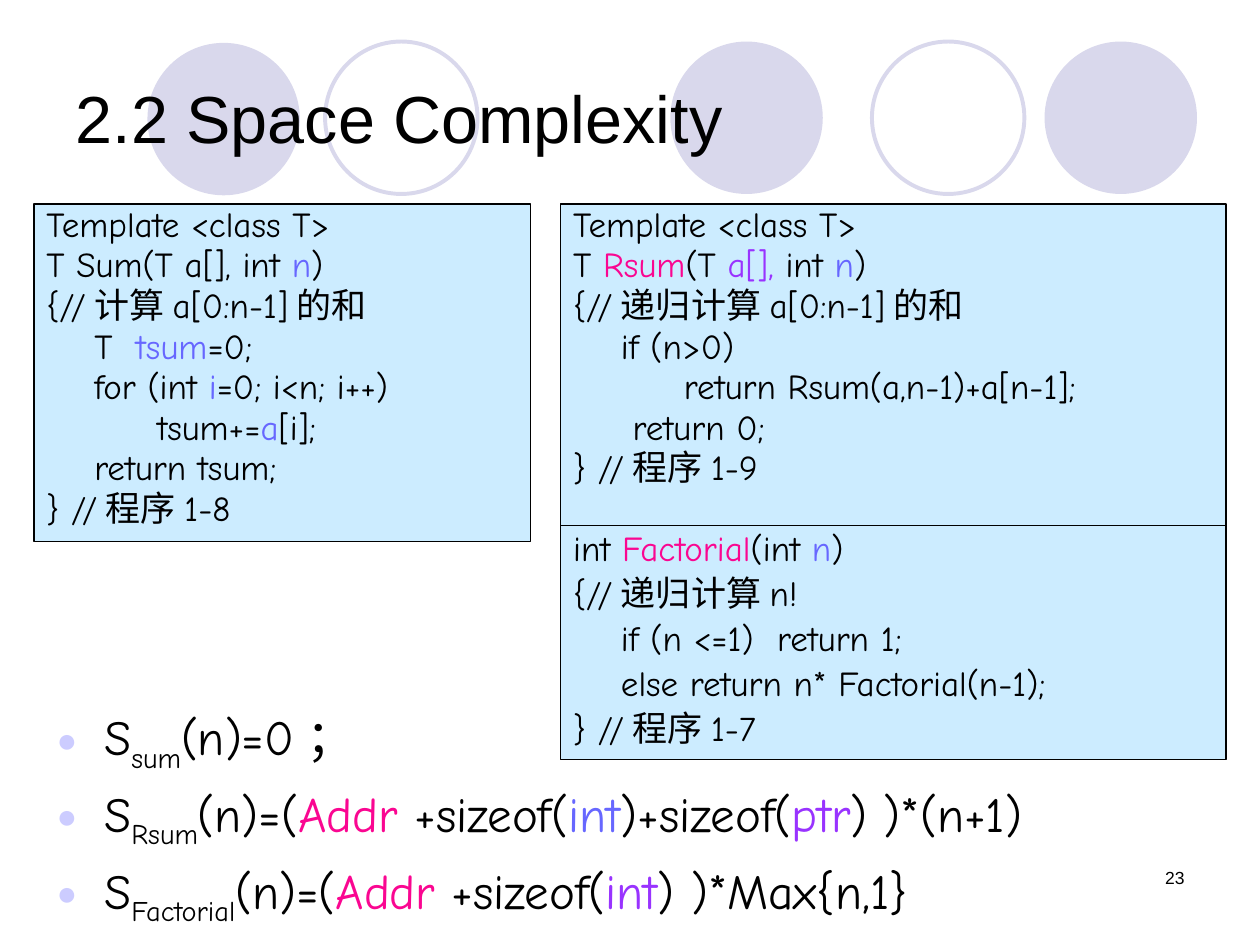
from lxml import etree
from pptx import Presentation
from pptx.dml.color import RGBColor
from pptx.enum import shapes, text
from pptx.oxml.ns import qn
from pptx.util import Inches, Pt

BLACK = RGBColor(0x00, 0x00, 0x00)
PINK = RGBColor(0xFA, 0x06, 0x91)
BLUE = RGBColor(0x67, 0x67, 0xFF)
PURPLE = RGBColor(0x99, 0x33, 0xFF)
PALE_BLUE = RGBColor(0xCC, 0xEC, 0xFF)
LILAC = RGBColor(0xD9, 0xD8, 0xEC)
BULLET = "CCCCFF"
CODE_FONT = "Comic Neue"

# Each line is a list of runs: plain text, or (text, colour)
SUM = [
    ["Template <class T>"],
    ["T Sum(T a[], int ", ("n", BLUE), ")"],
    ["{//计算a[0:n-1]的和"],
    ["\tT  ", ("tsum", BLUE), "=0;"],
    ["\tfor (int ", ("i", BLUE), "=0; i<n; i++)"],
    ["\t\ttsum+=", ("a", BLUE), "[i];"],
    ["\treturn tsum;"],
    ["} //程序1-8"],
]
RSUM = [
    ["Template <class T>"],
    ["T ", ("Rsum", PINK), "(T ", ("a[], ", PURPLE), "int ", ("n", BLUE), ")"],
    ["{//递归计算a[0:n-1]的和"],
    ["\tif (n>0)"],
    ["\t\treturn Rsum(a,n-1)+a[n-1];"],
    ["\t return 0;"],
    ["} //程序1-9"],
]
FACTORIAL = [
    ["int ", ("Factorial", PINK), "(int ", ("n", BLUE), ")"],
    ["{//递归计算n!"],
    ["\tif (n <=1)  return 1;"],
    ["\telse return n* Factorial(n-1);"],
    ["} //程序1-7"],
]
# Each formula is its subscript and the runs after it
FORMULAS = [
    ("sum", ["(n)=0；"]),
    ("Rsum", ["(n)=(", ("Addr", PINK), " +sizeof(", ("int", BLUE),
              ")+sizeof(", ("ptr", PURPLE), ") )*(n+1)"]),
    ("Factorial", ["(n)=(", ("Addr", PINK), " +sizeof(", ("int", PURPLE),
                   ") )*Max{n,1}"]),
]


def set_attrs(obj, values):
    for name, value in values.items():
        setattr(obj, name, value)


def add_run(p, content, size, font=CODE_FONT):
    words, color = content if isinstance(content, tuple) else (content, BLACK)
    r = p.add_run()
    r.text = words
    set_attrs(r.font, {"size": Pt(size), "name": font})
    r.font.color.rgb = color
    return r


def add_paragraph(tf, first, line_spacing=None):
    """Start a hanging paragraph with 20% space before it."""
    p = tf.paragraphs[0] if first else tf.add_paragraph()
    set_attrs(p, {"alignment": text.PP_ALIGN.LEFT, "space_before": Pt(0)})
    if line_spacing:
        p.line_spacing = line_spacing
    pPr = p._p.get_or_add_pPr()
    pPr.set("marL", str(Inches(0.38)))
    pPr.set("indent", str(Inches(-0.38)))
    before = pPr.find(qn("a:spcBef"))
    before.remove(before[0])
    etree.SubElement(before, qn("a:spcPct"), val="20000")
    return p


def add_bullet(p):
    pPr = p._p.get_or_add_pPr()
    color = etree.SubElement(pPr, qn("a:buClr"))
    etree.SubElement(color, qn("a:srgbClr"), val=BULLET)
    etree.SubElement(pPr, qn("a:buSzPct"), val="70000")
    etree.SubElement(pPr, qn("a:buFont"), typeface="Arial")
    etree.SubElement(pPr, qn("a:buChar"), char="●")


def add_circle(s, left, top, filled):
    sp = s.shapes.add_shape(shapes.MSO_SHAPE.OVAL, Inches(left), Inches(top),
                            Inches(1.21), Inches(1.21))
    sp.shadow.inherit = False
    if filled:
        sp.fill.solid()
        sp.fill.fore_color.rgb = LILAC
        sp.line.fill.background()
    else:
        sp.fill.background()
        sp.line.color.rgb = LILAC
        sp.line.width = Pt(2.25)


def add_code_box(s, box, lines, line_spacing):
    sp = s.shapes.add_shape(shapes.MSO_SHAPE.RECTANGLE, *map(Inches, box))
    sp.shadow.inherit = False
    sp.fill.solid()
    sp.fill.fore_color.rgb = PALE_BLUE
    sp.line.color.rgb = BLACK
    sp.line.width = Pt(0.75)
    tf = sp.text_frame
    set_attrs(tf, {"word_wrap": True, "vertical_anchor": text.MSO_ANCHOR.TOP})
    for i, line in enumerate(lines):
        p = add_paragraph(tf, i == 0, line_spacing)
        for content in line:
            add_run(p, content, 20)


def add_text_box(s, *box):
    tf = s.shapes.add_textbox(*map(Inches, box)).text_frame
    tf.word_wrap = True
    return tf


def add_formulas(s):
    tf = add_text_box(s, 0.35, 5.56, 9.29, 1.81)
    for i, (subscript, rest) in enumerate(FORMULAS):
        p = add_paragraph(tf, i == 0)
        add_bullet(p)
        add_run(p, "S", 28)
        r = add_run(p, subscript, 28)
        r.font._element.set("baseline", "-25000")
        for content in rest:
            add_run(p, content, 28)


def place_title(s):
    title = s.shapes.title
    set_attrs(title, {"left": Inches(0.5), "top": Inches(0.3),
                      "width": Inches(9), "height": Inches(1.25)})
    tf = title.text_frame
    set_attrs(tf, {"word_wrap": True, "auto_size": text.MSO_AUTO_SIZE.NONE,
                   "vertical_anchor": text.MSO_ANCHOR.MIDDLE})
    p = tf.paragraphs[0]
    p.alignment = text.PP_ALIGN.LEFT
    add_run(p, "2.2 Space Complexity", 38, "Arial")
    # Bring the title in front of the circles
    s.shapes._spTree.append(title._element)


def main():
    prs = Presentation()
    set_attrs(prs, {"slide_width": Inches(10), "slide_height": Inches(7.5)})
    s = prs.slides.add_slide(prs.slide_layouts[5])

    # Decorative circles
    for left, top, filled in [(5.32, 0.33, True), (8.29, 0.33, True),
                              (1.17, 0.34, True), (6.92, 0.33, False),
                              (2.58, 0.33, False)]:
        add_circle(s, left, top, filled)

    # Slide number
    p = add_text_box(s, 7.17, 6.83, 2.33, 0.5).paragraphs[0]
    p.alignment = text.PP_ALIGN.RIGHT
    add_run(p, "23", 10, "Arial")

    place_title(s)
    add_formulas(s)

    # Code listings
    add_code_box(s, (0.27, 1.62, 3.94, 2.68), SUM, 0.8)
    add_code_box(s, (4.45, 1.62, 5.28, 2.68), RSUM, 0.8)
    add_code_box(s, (4.45, 4.17, 5.28, 1.86), FACTORIAL, 0.9)

    prs.save("out.pptx")


if __name__ == "__main__":
    main()
